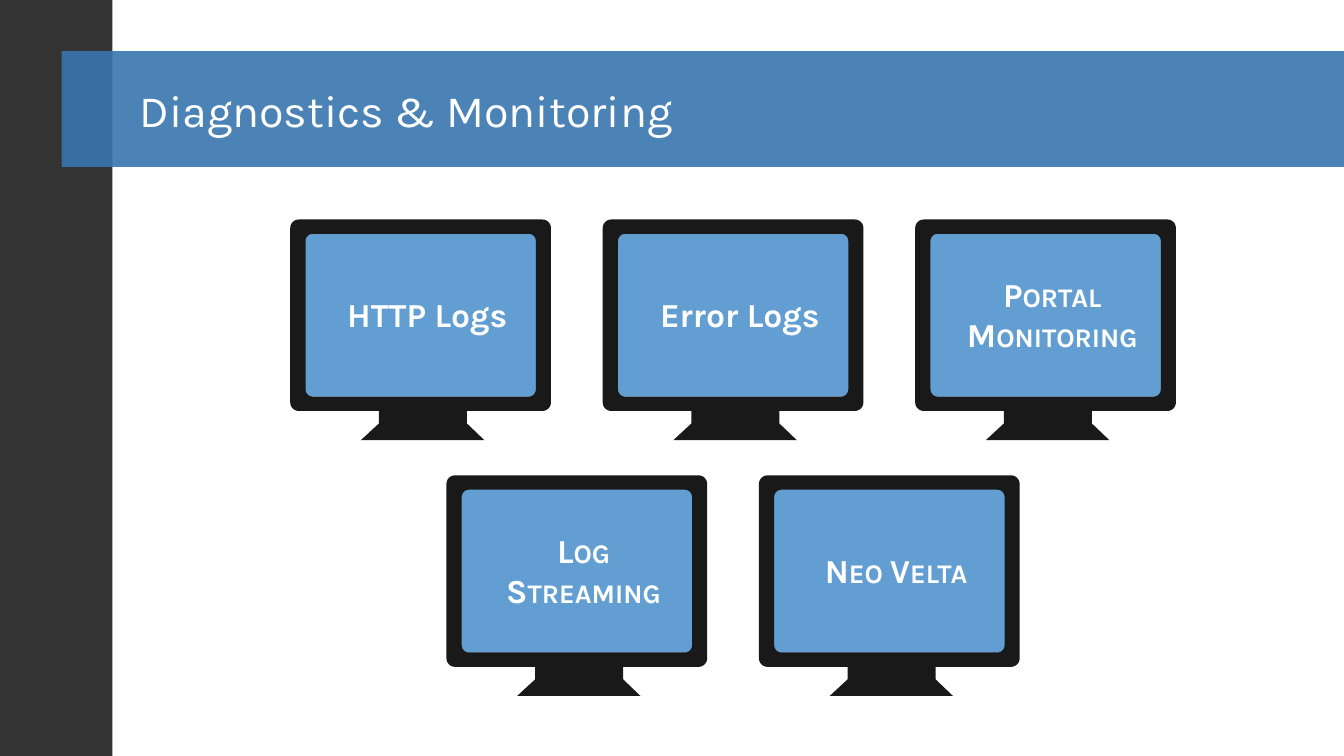
"""Build the Diagnostics & Monitoring slide with five labelled monitors."""
from math import cos, radians, sin

from lxml.etree import SubElement
from pptx import Presentation
from pptx.dml.color import RGBColor
from pptx.enum.shapes import MSO_SHAPE
from pptx.enum.text import MSO_ANCHOR, PP_ALIGN
from pptx.oxml.ns import qn
from pptx.util import Pt

theme = {
    "font": "Karla",
    "title": Pt(24),
    "label": Pt(18),
    "white": RGBColor.from_string("FFFFFF"),
    "side": RGBColor.from_string("333333"),
    "band": RGBColor.from_string("3876AF"),
    "screen": RGBColor.from_string("629ED2"),
    "frame": RGBColor.from_string("191919"),
}


def paint(shape, color):
    """Give a shape a plain fill with no line or shadow."""
    shape.shadow.inherit = False
    shape.fill.solid()
    shape.fill.fore_color.rgb = theme[color]
    shape.line.fill.background()
    return shape


def curve(left, top, right, bottom, rad):
    """List the points of a rounded box, clockwise from its top left."""
    spots = [(left + rad, top + rad, 180), (right - rad, top + rad, 270),
             (right - rad, bottom - rad, 0), (left + rad, bottom - rad, 90)]
    return [(x + rad * cos(radians(turn + step)), y + rad * sin(radians(turn + step)))
            for x, y, turn in spots for step in range(0, 91, 15)]


deck = Presentation()
deck.slide_width, deck.slide_height = Pt(720), Pt(405)
slide = deck.slides.add_slide(deck.slide_layouts[6])
shapes = slide.shapes

paint(shapes.add_shape(MSO_SHAPE.RECTANGLE, 0, 0, Pt(60.2), Pt(405)), "side")
band = paint(shapes.add_shape(MSO_SHAPE.RECTANGLE, Pt(33.1), Pt(27.4), Pt(686.9), Pt(62)), "band")
tint = band.fill._xPr.find(qn("a:solidFill"))[0]
SubElement(tint, qn("a:alpha")).set("val", "90000")

title = shapes.add_textbox(Pt(36), Pt(27.4), Pt(648), Pt(62.6))
frame = title.text_frame
pad = Pt(3.6)
form = {"word_wrap": True, "vertical_anchor": MSO_ANCHOR.MIDDLE, "margin_left": pad,
        "margin_right": pad, "margin_top": pad, "margin_bottom": pad}
for key, val in form.items():
    setattr(frame, key, val)
para = frame.paragraphs[0]
props = para._p.get_or_add_pPr()
props.set("marL", str(Pt(30.2)))
props.set("indent", str(Pt(5)))
run = para.add_run()
run.text = "Diagnostics & Monitoring"
form = {"name": theme["font"], "size": theme["title"]}
for key, val in form.items():
    setattr(run.font, key, val)
run.font.color.rgb = theme["white"]

rim = curve(0, 0, 139.7, 102.6, 4.6)
half = len(rim) * 3 // 4
stand = [(94.7, 102.6), (94.7, 109.3), (104, 118.2),
         (37.9, 118.2), (47.5, 109.3), (47.5, 102.6)]
outer = rim[:half] + stand + rim[half:]
inner = curve(8.2, 7.7, 131.6, 94.9, 3.8)[::-1]

rows = [
    (155.5, 117.6, [("HTTP Logs", False), ("Error Logs", False), ("Portal Monitoring", True)]),
    (239.2, 254.7, [("Log Streaming", True), ("Neo Velta", True)]),
]
look = {"word_wrap": True, "vertical_anchor": MSO_ANCHOR.MIDDLE, "margin_left": Pt(14.4),
        "margin_right": Pt(7.2), "margin_top": Pt(7.2), "margin_bottom": Pt(7.2)}
style = {"name": theme["font"], "size": theme["label"], "bold": True}

for left, top, labels in rows:
    for col, (label, small) in enumerate(labels):
        x = left + col * 167.4
        group = shapes.add_group_shape().shapes
        screen = paint(group.add_shape(
            MSO_SHAPE.RECTANGLE, Pt(x + 4.3), Pt(top + 6.4), Pt(131), Pt(88.6)), "screen")
        for key, val in look.items():
            setattr(screen.text_frame, key, val)
        para = screen.text_frame.paragraphs[0]
        para.alignment = PP_ALIGN.CENTER
        run = para.add_run()
        run.text = label
        for key, val in style.items():
            setattr(run.font, key, val)
        run.font.color.rgb = theme["white"]
        if small:
            run._r.get_or_add_rPr().set("cap", "small")
        rim, hole = [[(Pt(x + dx), Pt(top + dy)) for dx, dy in path] for path in (outer, inner)]
        pen = group.build_freeform(*rim[0])
        pen.add_line_segments(rim[1:], close=True)
        pen.move_to(*hole[0])
        pen.add_line_segments(hole[1:], close=True)
        paint(pen.convert_to_shape(), "frame")

deck.save("out.pptx")
